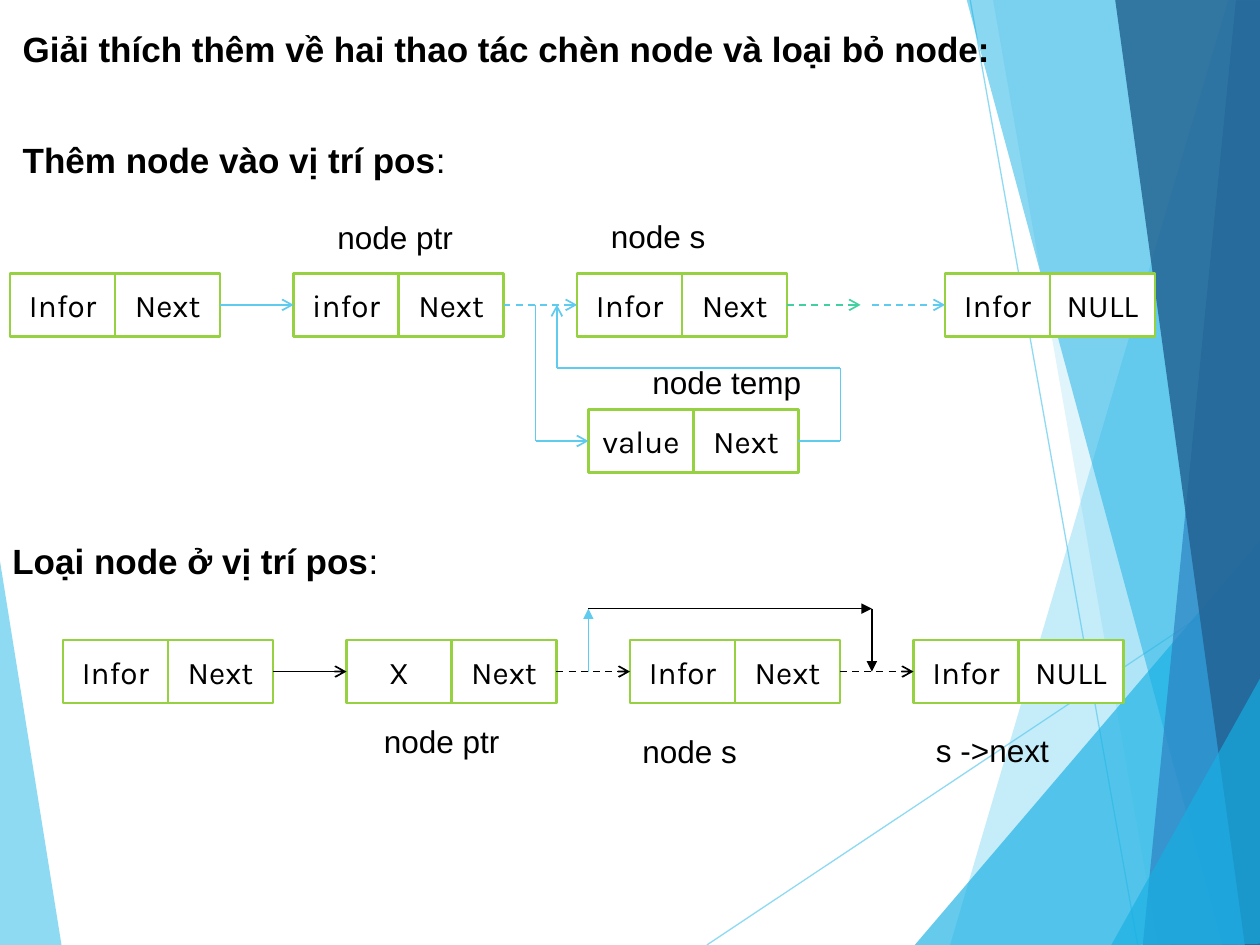
import itertools

import pptx
import pptx.dml.color
import pptx.enum.dml
import pptx.enum.shapes
import pptx.enum.text
import pptx.util
from lxml import etree
from pptx.oxml.ns import qn
from pptx.util import Inches

RGBColor = pptx.dml.color.RGBColor
PP_ALIGN = pptx.enum.text.PP_ALIGN
BLACK = RGBColor(0x00, 0x00, 0x00)
WHITE = RGBColor(0xFF, 0xFF, 0xFF)
GREEN = RGBColor(0x96, 0xD1, 0x41)
TEAL = RGBColor(0x42, 0xD0, 0xA2)
SKY = RGBColor(0x5F, 0xCB, 0xEF)
CYAN = RGBColor(0x17, 0xB0, 0xE4)
BLUE = RGBColor(0x2E, 0x83, 0xC3)
NAVY = RGBColor(0x23, 0x62, 0x92)

HEADING = {"name": "Arial", "size": pptx.util.Pt(20), "bold": True}
LABEL = {"name": "Arial", "size": pptx.util.Pt(18)}
CELL_TEXT = {"name": "Karla", "size": pptx.util.Pt(18)}

CELL_WIDTH, CELL_HEIGHT = 5 / 6, 0.5
NODE_PITCH = 2.25
MIDDLE = CELL_HEIGHT / 2

FACETS = [
    (SKY, 70, [(-0.01, 4.39), (0.49, 7.51), (-0.01, 7.5)]),
    (SKY, 36, [(9.75, 0), (7.54, 7.5), (10.02, 7.51), (10.01, 0.01)]),
    (SKY, 20, [(7.88, -0.01), (9.19, 7.5), (10.01, 7.5), (10.01, -0.01)]),
    (CYAN, 66, [(7.26, 7.5), (10, 4.29), (10.01, 7.5)]),
    (CYAN, 50, [(7.67, -0.01), (9.7, 7.5), (10.01, 7.49), (10.01, -0.01)]),
    (BLUE, 70, [(9.81, -0.01), (9.07, 7.5), (10.01, 7.5), (10, -0.01)]),
    (NAVY, 82, [(8.85, -0.01), (9.88, 7.5), (10.02, 7.5), (10, -0.01)]),
    (CYAN, 66, [(8.82, 7.5), (10.02, 5.35), (10.02, 7.49)]),
]
RAYS = [((5.61, 7.5), (10.01, 4.57)), ((7.7, 0), (9.03, 7.5))]


def place(box, x, y):
    """Return the point x, y inches from the box's top left corner."""
    return box[0] + Inches(x), box[1] + Inches(y)


def set_opacity(shape, percent):
    """Make the shape's explicit colours partly transparent."""
    for colour in shape.element.spPr.iter(qn("a:srgbClr")):
        etree.SubElement(colour, qn("a:alpha")).set("val", str(percent * 1000))


def write(paragraph, text, style, **changes):
    """Add a black run with the given format values."""
    run = paragraph.add_run()
    run.text = text
    for name, value in {**style, **changes}.items():
        setattr(run.font, name, value)
    run.font.color.rgb = BLACK


def write_heading(paragraph, text):
    """Write a bold justified heading ending in a regular colon."""
    paragraph.alignment = PP_ALIGN.JUSTIFY
    write(paragraph, text, HEADING)
    write(paragraph, ":", HEADING, bold=False)


def add_text_box(slide, box, x, y, width, height=0.4):
    """Add a wrapping text box and return its first paragraph."""
    area = slide.shapes.add_textbox(*place(box, x, y), Inches(width), Inches(height))
    area.text_frame.word_wrap = True
    return area.text_frame.paragraphs[0]


def add_label(slide, box, x, y, width, text, alignment=PP_ALIGN.LEFT):
    """Add the name of a node."""
    paragraph = add_text_box(slide, box, x, y, width)
    paragraph.alignment = alignment
    write(paragraph, text, LABEL)


def add_node(slide, box, x, y, *words):
    """Draw a list node as adjoining cells and return the cells."""
    cells = []
    for column, word in enumerate(words):
        cell = slide.shapes.add_shape(
            pptx.enum.shapes.MSO_SHAPE.RECTANGLE,
            *place(box, x + column * CELL_WIDTH, y),
            Inches(CELL_WIDTH), Inches(CELL_HEIGHT))
        cell.shadow.inherit = False
        cell.fill.solid()
        cell.fill.fore_color.rgb = WHITE
        cell.line.color.rgb = GREEN
        cell.line.width = pptx.util.Pt(1.5)
        cell.text_frame.vertical_anchor = pptx.enum.text.MSO_ANCHOR.MIDDLE
        paragraph = cell.text_frame.paragraphs[0]
        paragraph.alignment = PP_ALIGN.CENTER
        write(paragraph, word, CELL_TEXT)
        cells.append(cell)
    return cells


def add_link(slide, start, end, colour, head="arrow", dashed=False, width=1):
    """Draw a line between points or cells, from right side to left side."""
    ends = [point if isinstance(point, tuple) else (0, 0) for point in (start, end)]
    link = slide.shapes.add_connector(
        pptx.enum.shapes.MSO_CONNECTOR.STRAIGHT, *ends[0], *ends[1])
    if not isinstance(start, tuple):
        link.begin_connect(start, 3)
    if not isinstance(end, tuple):
        link.end_connect(end, 1)
    link.line.color.rgb = colour
    link.line.width = pptx.util.Pt(width)
    if dashed:
        link.line.dash_style = pptx.enum.dml.MSO_LINE.DASH
    if head:
        etree.SubElement(link.line._get_or_add_ln(), qn("a:tailEnd")).set("type", head)
    etree.SubElement(link.element.spPr, qn("a:effectLst"))
    return link


def add_backdrop(slide, box):
    """Draw the translucent rays and facets."""
    for start, end in RAYS:
        ray = add_link(slide, place(box, *start), place(box, *end), SKY, None, width=0.75)
        set_opacity(ray, 70)
    for colour, opacity, corners in FACETS:
        points = [place(box, *corner) for corner in corners]
        outline = slide.shapes.build_freeform(*points[0], scale=1)
        outline.add_line_segments(points[1:], close=True)
        facet = outline.convert_to_shape()
        facet.shadow.inherit = False
        facet.fill.solid()
        facet.fill.fore_color.rgb = colour
        facet.line.fill.background()
        set_opacity(facet, opacity)


def add_title(slide, box):
    """Fill the title with the topic and the first heading."""
    title = slide.shapes.title
    title.left, title.top = box
    title.width, title.height = Inches(9.5), Inches(1.31)
    slide.shapes.element.append(title.element)
    frame = title.text_frame
    frame.word_wrap = True
    frame.auto_size = pptx.enum.text.MSO_AUTO_SIZE.NONE
    frame.vertical_anchor = pptx.enum.text.MSO_ANCHOR.TOP
    topic = frame.paragraphs[0]
    topic.alignment = PP_ALIGN.JUSTIFY
    write(topic, "Giải thích thêm về hai thao tác chèn node và loại bỏ node:", HEADING)
    heading = frame.add_paragraph()
    heading.space_before = pptx.util.Pt(39)
    write_heading(heading, "Thêm node vào vị trí pos")


def add_insertion(slide, box):
    """Draw the list into which the temp node is inserted."""
    words = [("Infor", "Next"), ("infor", "Next"), ("Infor", "Next")]
    first, ptr, s = [add_node(slide, box, index * NODE_PITCH, 0, *pair)
                     for index, pair in enumerate(words)]
    last = add_node(slide, box, 7.42, 0, "Infor", "NULL")
    temp = add_node(slide, box, 4.59, 1.08, "value", "Next")

    add_link(slide, first[-1], ptr[0], SKY)
    add_link(slide, ptr[-1], s[0], SKY, dashed=True)
    add_link(slide, s[-1], place(box, 6.75, MIDDLE), TEAL, dashed=True)
    add_link(slide, place(box, 6.84, MIDDLE), last[0], SKY, dashed=True)

    bend = place(box, 4.17, 1.08 + MIDDLE)
    add_link(slide, place(box, 4.17, MIDDLE), bend, SKY, None)
    add_link(slide, bend, temp[0], SKY)
    corners = [(6.59, 1.08 + MIDDLE), (6.59, 0.75), (4.34, 0.75), (4.34, MIDDLE)]
    route = [temp[-1]] + [place(box, *corner) for corner in corners]
    for (start, end), head in zip(itertools.pairwise(route), [None, None, None, "arrow"]):
        add_link(slide, start, end, SKY, head)

    add_label(slide, box, 2.5, -0.49, 1.17, "node ptr")
    add_label(slide, box, 4.67, -0.5, 1.17, "node s")
    add_label(slide, box, 5, 0.66, 1.5, "node temp")


def add_removal(slide, box):
    """Draw the heading and the list from which node s is removed."""
    write_heading(add_text_box(slide, box, -0.5, -0.85, 9.5, 0.44), "Loại node ở vị trí pos")
    words = [("Infor", "Next"), ("X", "Next"), ("Infor", "Next"), ("Infor", "NULL")]
    nodes = [add_node(slide, box, index * NODE_PITCH, 0, *pair)
             for index, pair in enumerate(words)]
    for index, (node, following) in enumerate(itertools.pairwise(nodes)):
        add_link(slide, node[-1], following[0], BLACK, dashed=index > 0)

    corners = [(4.17, MIDDLE), (4.17, -0.25), (6.42, -0.25), (6.42, MIDDLE)]
    bypass = itertools.pairwise(place(box, *corner) for corner in corners)
    for (start, end), colour in zip(bypass, [SKY, BLACK, BLACK]):
        add_link(slide, start, end, colour, "triangle")

    add_label(slide, box, 2.42, 0.6, 1.17, "node ptr", PP_ALIGN.CENTER)
    add_label(slide, box, 4.5, 0.68, 1.58, "node s")
    add_label(slide, box, 6.83, 0.67, 1.42, "s ->next")


def main():
    """Build and save the slide."""
    deck = pptx.Presentation()
    deck.slide_width, deck.slide_height = Inches(10), Inches(7.5)
    slide = deck.slides.add_slide(deck.slide_layouts[5])
    add_backdrop(slide, (0, 0))
    add_title(slide, (Inches(0.08), Inches(0.17)))
    add_insertion(slide, (Inches(0.08), Inches(2.17)))
    add_removal(slide, (Inches(0.5), Inches(5.08)))
    deck.save("out.pptx")


if __name__ == "__main__":
    main()
